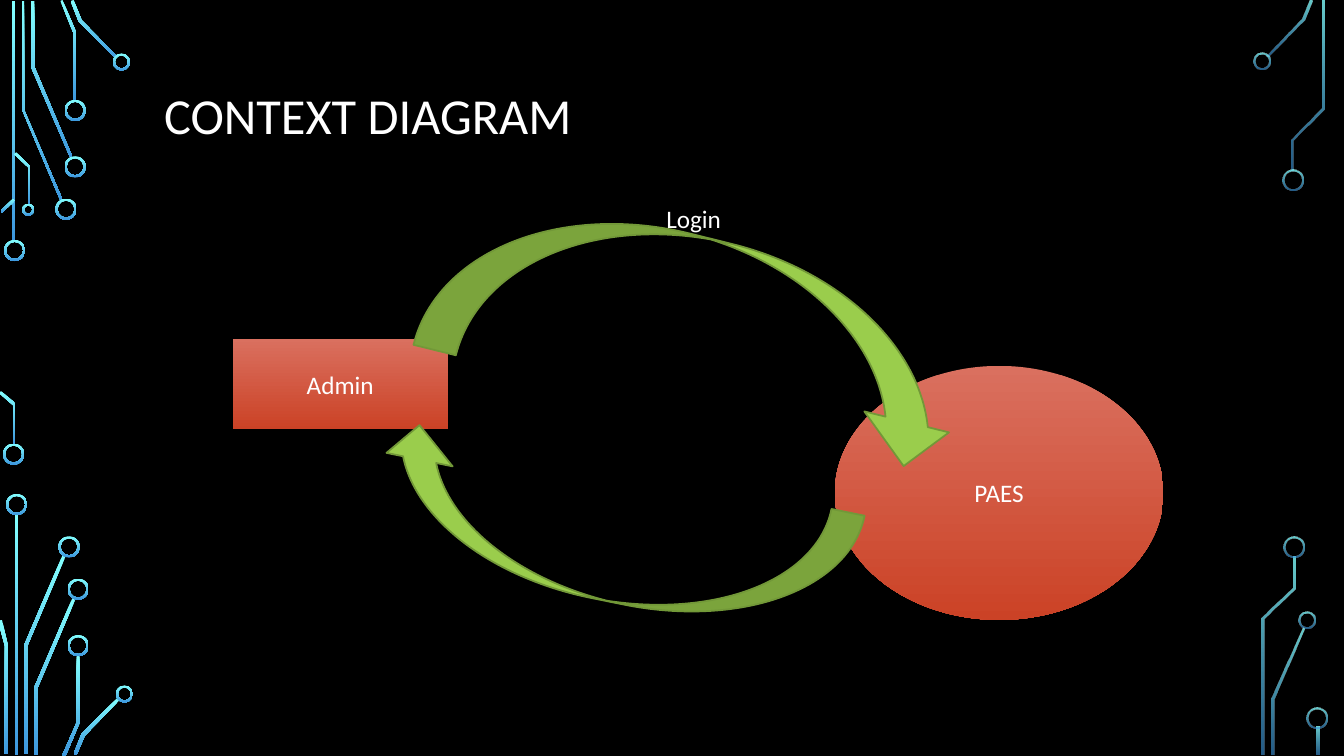
from lxml.etree import SubElement
from pptx import Presentation
from pptx.dml.color import RGBColor
from pptx.enum.shapes import MSO_SHAPE as Shape
from pptx.enum.text import MSO_ANCHOR as Anchor, PP_ALIGN as Align
from pptx.oxml.ns import qn
from pptx.util import Pt

PX = 9144  # EMU per px, 100 px to the inch
FONT = "Calibri"
RING_WIDTH = 2
COLORS = {
    "background": "000000",
    "text": "FFFFFF",
    "circuit_top": "82FFFF",
    "circuit_bottom": "3D97DE",
    "node_top": "DA705F",
    "node_bottom": "CB4226",
    "arrow": "9ACD4C",
    "arrow_line": "729838",
}

# Circuit parts: bars (left, top, width, height), rings (left, top, size), trace outlines
LEFT_BARS = [(12, 1, 3, 239), (15, 510, 3, 239)]
LEFT_RINGS = [
    (4, 238, 21), (3, 440, 21), (55, 197, 21), (64, 155, 21), (64, 99, 21),
    (112, 53, 17), (22, 202, 12), (6, 490, 21), (58, 532, 21), (67, 574, 21),
    (67, 630, 21), (115, 680, 17),
]
LEFT_TRACES = [
    [(60, 199), (22, 109), (22, 1), (24, 1), (24, 109), (62, 198)],
    [(70, 157), (31, 67), (31, 1), (34, 1), (34, 66), (72, 156)],
    [(76, 100), (73, 100), (73, 33), (60, 1), (62, 0), (76, 33)],
    [(115, 58), (78, 21), (70, 1), (73, 0), (81, 20), (116, 56)],
    [(2, 211), (1, 209), (13, 197), (15, 199)],
    [(15, 441), (13, 441), (13, 402), (-1, 390), (1, 388), (15, 400)],
    [(30, 203), (28, 203), (28, 166), (14, 153), (16, 151), (30, 165)],
    [(27, 748), (24, 748), (24, 640), (62, 551), (65, 552), (27, 641)],
    [(8, 748), (5, 748), (5, 641), (-2, 616), (2, 615), (8, 641)],
    [(37, 749), (34, 749), (34, 682), (72, 593), (75, 594), (37, 683)],
    [(65, 750), (62, 749), (76, 717), (76, 650), (79, 650), (79, 717)],
    [(76, 749), (73, 748), (81, 728), (117, 692), (119, 694), (84, 730)],
]
RIGHT_BARS = [(1306, 721, 3, 28)]
RIGHT_RINGS = [
    (1243, 52, 17), (1272, 168, 21), (1288, 607, 17), (1273, 532, 21),
    (1296, 702, 21),
]
RIGHT_TRACES = [
    [(1258, 56), (1256, 55), (1291, 19), (1299, 0), (1302, 1), (1294, 20)],
    [(1264, 749), (1261, 749), (1261, 693), (1292, 623), (1294, 624), (1264, 694)],
    [(1283, 169), (1281, 169), (1281, 138), (1311, 107), (1311, 1), (1314, 1),
     (1314, 108), (1283, 139)],
    [(1254, 749), (1251, 749), (1251, 613), (1282, 583), (1282, 552), (1285, 552),
     (1285, 584), (1254, 614)],
]


def rgb(name):
    return RGBColor.from_string(COLORS[name])


def to_emu(*lengths):
    return [length * PX for length in lengths]


def fill_gradient(shape, top, bottom, opacities=(100, 100)):
    """Fill from top to bottom, without outline or shadow."""
    shape.shadow.inherit = False
    shape.line.fill.background()
    shape.fill.gradient()
    shape.fill.gradient_angle = 270
    for stop, name, position in zip(shape.fill.gradient_stops, (top, bottom), (0, 1)):
        stop.color.rgb = rgb(name)
        stop.position = position
    for color, opacity in zip(shape.element.spPr.iter(qn("a:srgbClr")), opacities):
        if opacity < 100:
            SubElement(color, qn("a:alpha")).set("val", str(opacity * 1000))


def set_text(shape, text, size, align=Align.LEFT, anchor=Anchor.TOP):
    frame = shape.text_frame
    frame.text = text
    frame.word_wrap = True
    frame.vertical_anchor = anchor
    paragraph = frame.paragraphs[0]
    paragraph.alignment = align
    font = paragraph.runs[0].font
    font.name, font.size = FONT, Pt(size)
    font.color.rgb = rgb("text")
    return paragraph


def add_label(slide, box, text, size, anchor=Anchor.TOP):
    return set_text(slide.shapes.add_textbox(*to_emu(*box)), text, size, anchor=anchor)


def add_circuit(slide, bars, rings, traces, opacities=(100, 100)):
    parts = [slide.shapes.add_shape(Shape.RECTANGLE, *to_emu(*bar)) for bar in bars]
    for outline in traces:
        builder = slide.shapes.build_freeform(*outline[0], scale=PX)
        builder.add_line_segments(outline[1:], close=True)
        parts.append(builder.convert_to_shape())
    for left, top, size in rings:
        ring = slide.shapes.add_shape(Shape.DONUT, *to_emu(left, top, size, size))
        ring.adjustments[0] = RING_WIDTH / size
        parts.append(ring)
    for part in parts:
        fill_gradient(part, "circuit_top", "circuit_bottom", opacities)


def add_node(slide, kind, box, text):
    node = slide.shapes.add_shape(kind, *to_emu(*box))
    fill_gradient(node, "node_top", "node_bottom")
    set_text(node, text, 18, Align.CENTER, Anchor.MIDDLE)


def add_flow_arrow(slide, box, rotation):
    arrow = slide.shapes.add_shape(Shape.CURVED_DOWN_ARROW, *to_emu(*box))
    arrow.rotation = rotation
    arrow.shadow.inherit = False
    arrow.fill.solid()
    arrow.fill.fore_color.rgb = rgb("arrow")
    arrow.line.color.rgb = rgb("arrow_line")
    arrow.line.width = Pt(1.25)


def main():
    presentation = Presentation()
    presentation.slide_width, presentation.slide_height = to_emu(1333, 750)
    slide = presentation.slides.add_slide(presentation.slide_layouts[6])
    slide.background.fill.solid()
    slide.background.fill.fore_color.rgb = rgb("background")

    # Circuit decoration on both sides
    add_circuit(slide, LEFT_BARS, LEFT_RINGS, LEFT_TRACES)
    add_circuit(slide, RIGHT_BARS, RIGHT_RINGS, RIGHT_TRACES, (80, 60))

    # Title
    title = add_label(slide, (153, 36, 1083, 162), "CONTEXT DIAGRAM", 36, Anchor.MIDDLE)
    title.line_spacing = 0.9

    # Diagram: nodes, flows and the flow label
    add_node(slide, Shape.OVAL, (828, 363, 326, 252), "PAES")
    add_node(slide, Shape.RECTANGLE, (231, 336, 213, 90), "Admin")
    add_flow_arrow(slide, (423, 237, 544, 173), 13.9)
    add_flow_arrow(slide, (365, 462, 484, 134), 191.5)
    add_label(slide, (651, 197, 88, 40), "Login", 18)

    presentation.save("out.pptx")


if __name__ == "__main__":
    main()
